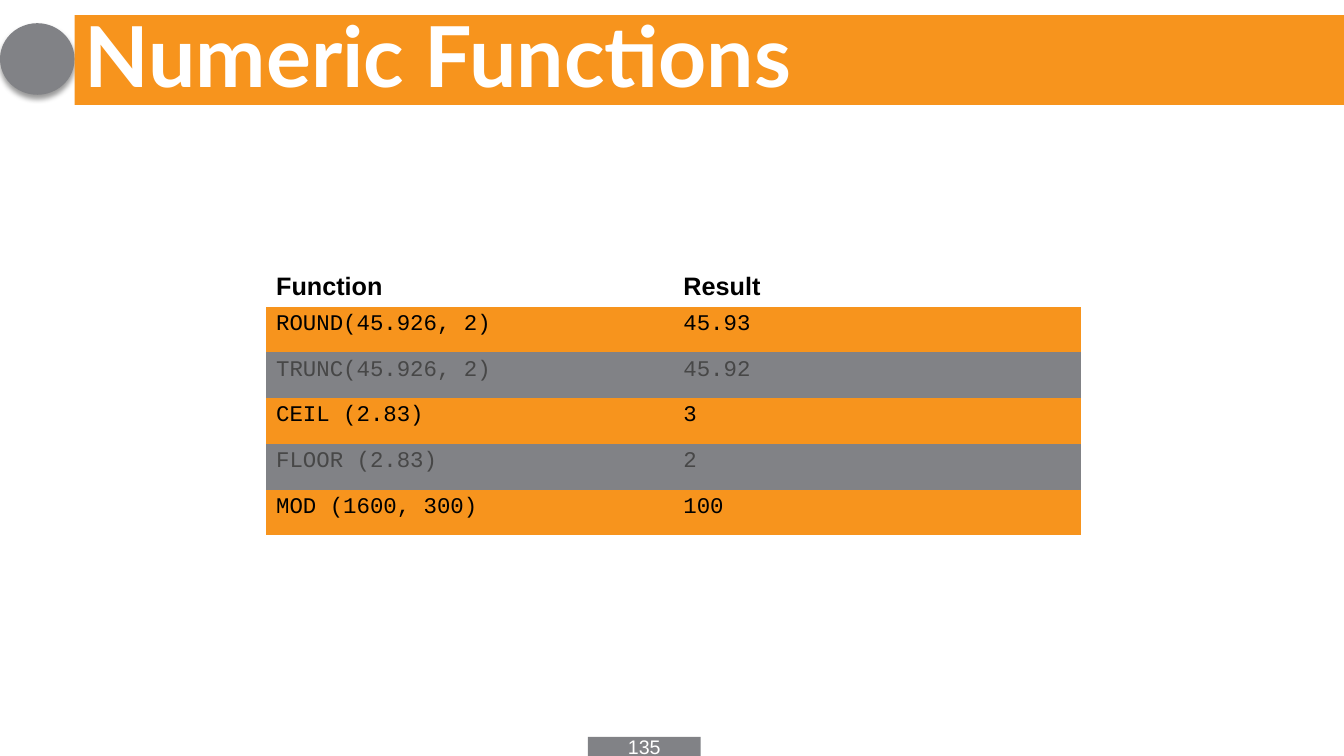
from lxml import etree
from pptx import Presentation
from pptx.dml.color import RGBColor
from pptx.enum.shapes import MSO_SHAPE
from pptx.enum.text import MSO_ANCHOR, PP_ALIGN
from pptx.oxml import parse_xml
from pptx.oxml.ns import nsdecls, qn
from pptx.util import Inches, Pt

RECT, OVAL = MSO_SHAPE.RECTANGLE, MSO_SHAPE.OVAL
LEFT, CENTER, MIDDLE = PP_ALIGN.LEFT, PP_ALIGN.CENTER, MSO_ANCHOR.MIDDLE

ORANGE = RGBColor(0xF7, 0x94, 0x1D)
GRAY = RGBColor(0x81, 0x82, 0x86)
DARK = RGBColor(0x47, 0x47, 0x47)
BLACK = RGBColor(0, 0, 0)
WHITE = RGBColor(0xFF, 0xFF, 0xFF)

PLAIN_STYLE = "{2D5ABB26-0587-4C30-8999-92F81FD0307C}"
EDGE = 5.55  # right side of the disc, left side of the title bar

ROWS = [
    ("Function", "Result"),
    ("ROUND(45.926, 2)", "45.93"),
    ("TRUNC(45.926, 2)", "45.92"),
    ("CEIL (2.83)", "3"),
    ("FLOOR (2.83)", "2"),
    ("MOD (1600, 300)", "100"),
]


class Deck:
    """Holds the slide; all places are percentages of its width and height."""

    def __init__(self):
        self.show = Presentation()
        self.show.slide_width = Inches(13.33)
        self.show.slide_height = Inches(7.5)
        self.slide = self.show.slides.add_slide(self.show.slide_layouts[6])

    def wide(self, share):
        return round(self.show.slide_width * share / 100)

    def high(self, share):
        return round(self.show.slide_height * share / 100)

    def box(self, left, top, width, height):
        return self.wide(left), self.high(top), self.wide(width), self.high(height)

    def label(self, frame, text, face, size, color, bold=False, align=LEFT):
        frame.text = text
        line = frame.paragraphs[0]
        line.alignment = align
        font = line.runs[0].font
        font.name, font.size, font.bold = face, Pt(size), bold
        font.color.rgb = color
        return line

    def shape(self, kind, place, color):
        shape = self.slide.shapes.add_shape(kind, *self.box(*place))
        shape.shadow.inherit = False
        shape.fill.solid()
        shape.fill.fore_color.rgb = color
        shape.line.fill.background()
        shape.text_frame.vertical_anchor = MIDDLE
        return shape

    def shade(self, shape):
        """Drop a soft black shadow straight below the shape."""
        effects = shape.element.spPr.find(qn("a:effectLst"))
        effects.append(parse_xml(
            f'<a:outerShdw {nsdecls("a")} blurRad="{Pt(4)}" dist="{Pt(3)}" '
            'dir="5400000" rotWithShape="0"><a:srgbClr val="000000">'
            '<a:alpha val="40000"/></a:srgbClr></a:outerShdw>'))

    def table(self, rows, left, top, width, head, body):
        """Draw a header row of height head over equal rows that fill body."""
        place = self.box(left, top, width, head + body)
        table = self.slide.shapes.add_table(len(rows), len(rows[0]), *place).table
        props = table._tbl.tblPr
        style = props.find(qn("a:tableStyleId"))
        if style is None:
            style = etree.SubElement(props, qn("a:tableStyleId"))
        style.text = PLAIN_STYLE
        table.horz_banding = False
        for r, texts in enumerate(rows):
            share = body / (len(rows) - 1) if r else head
            table.rows[r].height = self.high(share)
            fill, ink = (ORANGE, BLACK) if r % 2 else (GRAY, DARK)
            for c, text in enumerate(texts):
                cell = table.cell(r, c)
                if r:
                    cell.fill.solid()
                    cell.fill.fore_color.rgb = fill
                    self.label(cell.text_frame, text, "Courier New", 16, ink)
                else:
                    cell.fill.background()
                    self.label(cell.text_frame, text, "Arial", 18, BLACK, True)


def main():
    deck = Deck()
    disc = deck.shape(OVAL, (0, 3.07, EDGE, 9.47), GRAY)
    deck.shade(disc)

    bar = deck.shape(RECT, (EDGE, 2, 100 - EDGE, 11.87), ORANGE)
    title = deck.label(bar.text_frame, "Numeric Functions", "Lato", 60, WHITE, True)
    title.line_spacing = 0.9

    deck.table(ROWS, 19.8, 35.4, 60.6, 5.16, 30.27)

    badge = deck.shape(RECT, (43.74, 97.47, 8.4, 2.53), GRAY)
    deck.label(badge.text_frame, "135", "Arial", 14, WHITE, align=CENTER)

    deck.show.save("out.pptx")


if __name__ == "__main__":
    main()
